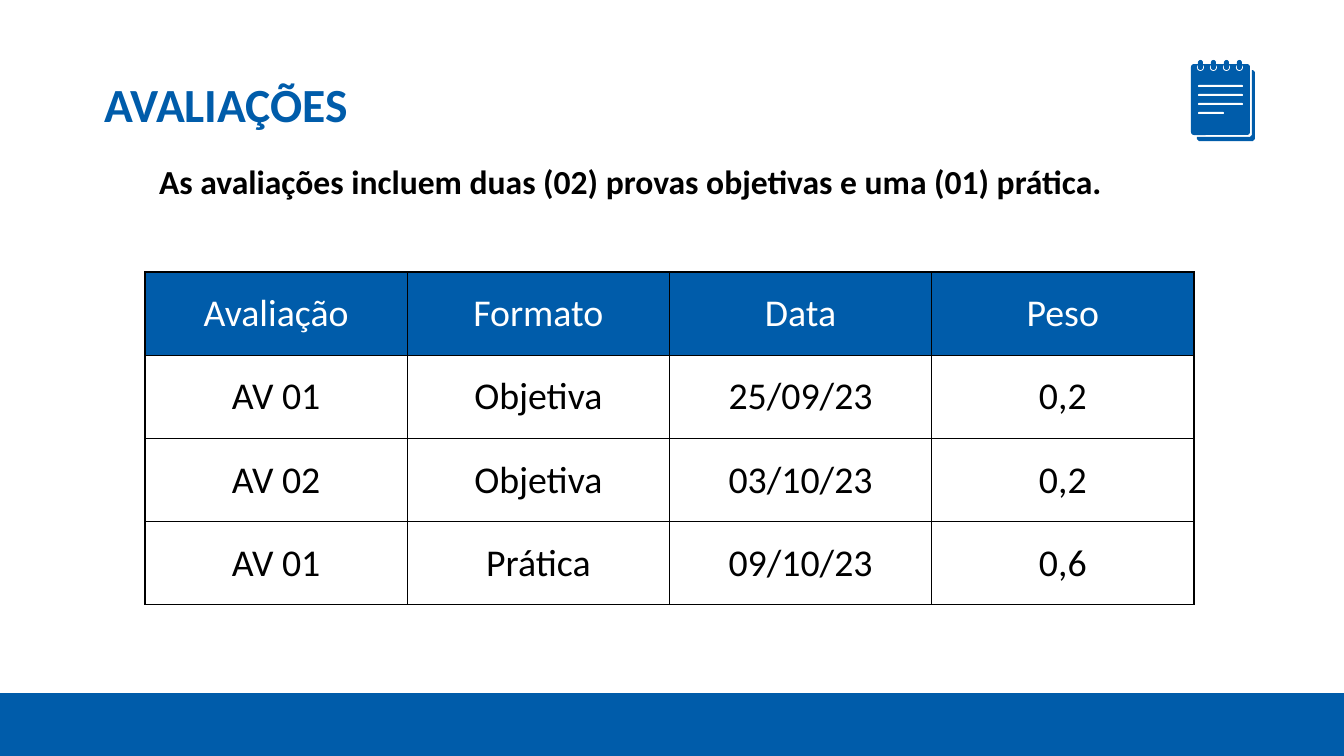
from dataclasses import dataclass

from lxml.etree import SubElement as Sub
from pptx import Presentation
from pptx.dml.color import RGBColor as Rgb
from pptx.enum.shapes import MSO_SHAPE as Kind
from pptx.enum.text import MSO_ANCHOR as Anchor, MSO_AUTO_SIZE as Fit, PP_ALIGN as Align
from pptx.oxml.ns import qn
from pptx.util import Emu, Pt

PX = 12192000 / 1344
HUES = {"blue": "005CAA", "white": "FFFFFF", "black": "000000"}
FONT = "Calibri"


@dataclass
class Box:
    x: int
    y: int
    w: int
    h: int
    hue: str = "blue"
    kind: int = Kind.RECTANGLE
    curve: float = 0


def px(n: float) -> Emu:
    return Emu(round(n * PX))


def tint(name: str) -> Rgb:
    return Rgb.from_string(HUES[name])


def place(shape, box: Box) -> None:
    shape.left, shape.top = px(box.x), px(box.y)
    shape.width, shape.height = px(box.w), px(box.h)


def paint(shape, hue: str) -> None:
    shape.shadow.inherit = False
    shape.fill.solid()
    shape.fill.fore_color.rgb = tint(hue)
    shape.line.fill.background()


def draw(slide, box: Box):
    shape = slide.shapes.add_shape(box.kind, px(box.x), px(box.y), px(box.w), px(box.h))
    if box.kind == Kind.ROUNDED_RECTANGLE:
        shape.adjustments[0] = box.curve
    paint(shape, box.hue)
    return shape


def style(para, size: int, hue: str, bold: bool, align: int) -> None:
    para.alignment = align
    font = para.font
    font.name, font.size, font.bold = FONT, Pt(size), bold
    font.color.rgb = tint(hue)


def write(shape, box: Box, text: str, size: int, hue: str):
    place(shape, box)
    frame = shape.text_frame
    frame.text = text
    frame.word_wrap, frame.auto_size = True, Fit.NONE
    para = frame.paragraphs[0]
    style(para, size, hue, True, Align.LEFT)
    return frame, para


def edge(cell) -> None:
    props = cell._tc.get_or_add_tcPr()
    for side in ("lnL", "lnR", "lnT", "lnB"):
        line = Sub(props, qn(f"a:{side}"), w=str(Pt(1)))
        Sub(Sub(line, qn("a:solidFill")), qn("a:srgbClr"), val=HUES["black"])


def grid(slide, box: Box, rows: list[tuple[str, ...]]) -> None:
    table = slide.shapes.add_table(
        len(rows), len(rows[0]), px(box.x), px(box.y), px(box.w), px(box.h)).table
    table.horz_banding = False
    for col in table.columns:
        col.width = px(box.w / len(rows[0]))
    for i, row in enumerate(rows):
        table.rows[i].height = px(box.h / len(rows))
        back, ink = ("white", "black") if i else ("blue", "white")
        for j, text in enumerate(row):
            cell = table.cell(i, j)
            edge(cell)
            cell.fill.solid()
            cell.fill.fore_color.rgb = tint(back)
            cell.vertical_anchor = Anchor.MIDDLE
            cell.margin_left = cell.margin_right = px(11)
            cell.margin_top = cell.margin_bottom = px(6)
            cell.text = text
            style(cell.text_frame.paragraphs[0], 27, ink, False, Align.CENTER)


def notepad(slide) -> None:
    # Rear sheet, seen along the right and bottom edges
    rim = [(1252, 70), (1252, 135), (1250, 137), (1197, 137), (1197, 139),
           (1199, 141), (1253, 141), (1255, 139), (1255, 72), (1253, 70)]
    path = slide.shapes.build_freeform(*rim[0], scale=PX)
    path.add_line_segments(rim[1:], close=True)
    paint(path.convert_to_shape(), "blue")
    # Front sheet
    draw(slide, Box(1191, 64, 59, 71, kind=Kind.ROUNDED_RECTANGLE, curve=0.05))
    # Punched holes and rings
    for x in range(1198, 1250, 13):
        draw(slide, Box(x - 1, 64, 7, 7, "white", Kind.OVAL))
        draw(slide, Box(x, 60, 5, 10, kind=Kind.ROUNDED_RECTANGLE, curve=0.5))
    # Written lines
    for i, wide in enumerate((45, 45, 45, 26)):
        draw(slide, Box(1198, 85 + 9 * i, wide, 2, "white", Kind.ROUNDED_RECTANGLE, 0.5))


def main() -> None:
    deck = Presentation()
    deck.slide_width, deck.slide_height = px(1344), px(756)
    slide = deck.slides.add_slide(deck.slide_layouts[1])

    # Footer bar and its two joints
    for x, wide in ((0, 1344), (498, 23), (831, 23)):
        bar = draw(slide, Box(x, 694, wide, 62))
        bar.line.color.rgb = tint("blue")
        bar.line.width = Pt(1)

    # Title and lead sentence
    title, lead = slide.placeholders
    frame, _ = write(title, Box(94, 70, 997, 67), "AVALIAÇÕES", 34, "blue")
    frame.vertical_anchor = Anchor.MIDDLE
    frame, para = write(
        lead, Box(149, 151, 997, 92),
        "As avaliações incluem duas (02) provas objetivas e uma (01) prática.", 24, "black")
    frame.vertical_anchor = Anchor.TOP
    frame.margin_left = frame.margin_right = px(10)
    frame.margin_top = frame.margin_bottom = px(10)
    para.space_before = Pt(6)
    props = para._p.get_or_add_pPr()
    props.set("marL", "0")
    props.set("indent", "0")
    Sub(props, qn("a:buNone"))
    # Bullet settings come before the default run format
    for run in props.findall(qn("a:defRPr")):
        props.append(run)

    # Assessment table
    grid(slide, Box(145, 272, 1049, 333), [
        ("Avaliação", "Formato", "Data", "Peso"),
        ("AV 01", "Objetiva", "25/09/23", "0,2"),
        ("AV 02", "Objetiva", "03/10/23", "0,2"),
        ("AV 01", "Prática", "09/10/23", "0,6"),
    ])

    notepad(slide)
    deck.save("out.pptx")


if __name__ == "__main__":
    main()
